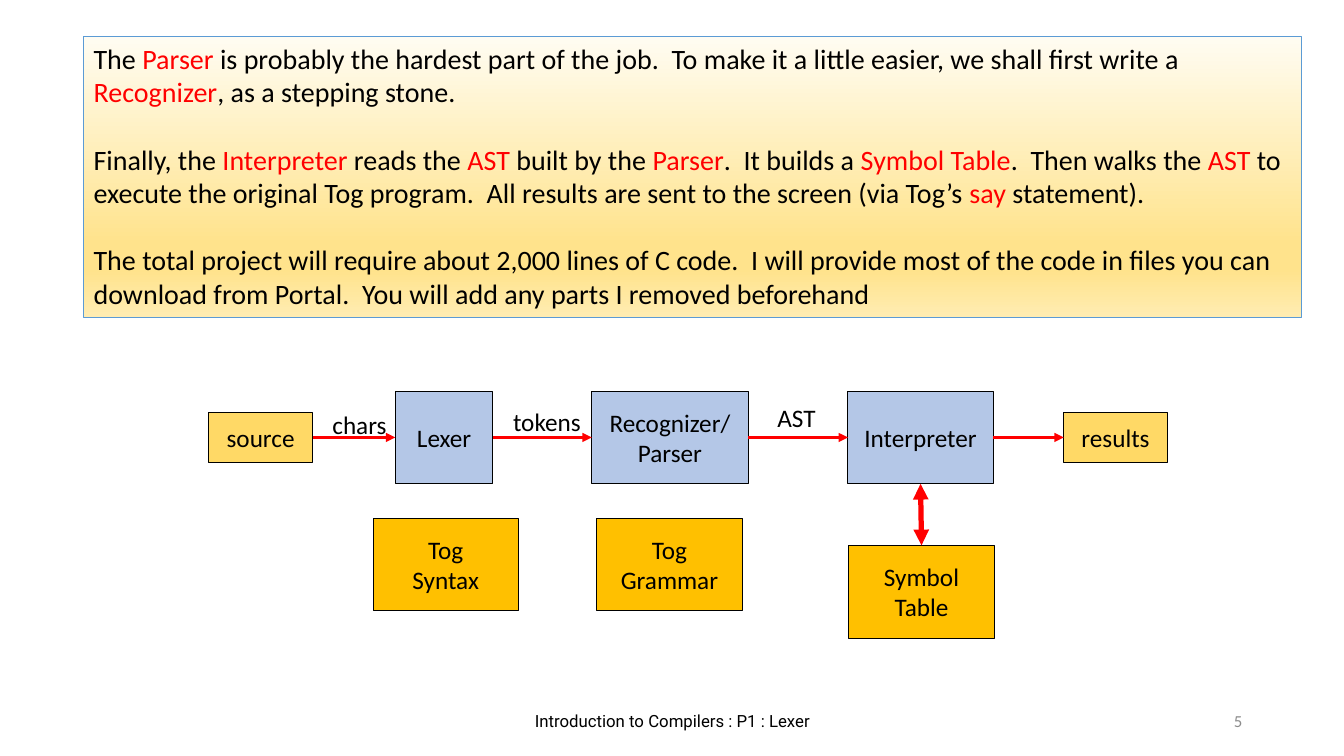
"""Build the slide on the stages of the Tog interpreter."""
from copy import deepcopy

from lxml import etree
from pptx import Presentation
from pptx.dml.color import RGBColor
from pptx.enum.shapes import MSO_CONNECTOR, MSO_SHAPE
from pptx.enum.text import MSO_ANCHOR, PP_ALIGN
from pptx.oxml.ns import qn
from pptx.util import Pt

EMU_PER_PX = 9144
STRAIGHT = MSO_CONNECTOR.STRAIGHT
RECTANGLE = MSO_SHAPE.RECTANGLE
TOP, MIDDLE = MSO_ANCHOR.TOP, MSO_ANCHOR.MIDDLE
LEFT, CENTER, RIGHT = PP_ALIGN.LEFT, PP_ALIGN.CENTER, PP_ALIGN.RIGHT
TOP_SITE, LEFT_SITE, BOTTOM_SITE, RIGHT_SITE = range(4)

BLACK = RGBColor(0x00, 0x00, 0x00)
RED = RGBColor(0xFF, 0x00, 0x00)
GREY = RGBColor(0x8C, 0x8C, 0x8C)
BLUE = RGBColor(0x5B, 0x9B, 0xD5)
PALE_BLUE = RGBColor(0xB4, 0xC7, 0xE7)
YELLOW = RGBColor(0xFF, 0xD9, 0x66)
AMBER = RGBColor(0xFF, 0xC0, 0x00)
PANEL_GRADIENT = (
    (0, RGBColor(0xFF, 0xFC, 0xF2)),
    (0.74, RGBColor(0xFF, 0xE3, 0x8C)),
    (0.83, RGBColor(0xFF, 0xE3, 0x8C)),
    (1, RGBColor(0xFF, 0xEC, 0xB2)),
)

PANEL_PARAGRAPHS = (
    "The *Parser* is probably the hardest part of the job.  To make it a little "
    "easier, we shall first write a *Recognizer*, as a stepping stone.",
    "Finally, the *Interpreter* reads the *AST* built by the *Parser*.  It builds a "
    "*Symbol Table*.  Then walks the *AST* to execute the original Tog program.  "
    "All results are sent to the screen (via Tog’s *say* statement).",
    "The total project will require about 2,000 lines of C code.  I will provide "
    "most of the code in files you can download from Portal.  You will add any "
    "parts I removed beforehand",
)
STAGES = (
    ("source", 0, 21, 103, 50, YELLOW),
    ("Lexer", 185, 0, 97, 92, PALE_BLUE),
    ("Recognizer/Parser", 380, 0, 155, 92, PALE_BLUE),
    ("Interpreter", 634, 0, 144, 92, PALE_BLUE),
    ("results", 848, 21, 103, 50, YELLOW),
)
RESOURCES = (
    ("Symbol Table", 635, 153, 144, 92, AMBER),
    ("Tog\nGrammar", 385, 126, 144, 92, AMBER),
    ("Tog\nSyntax", 163, 126, 144, 92, AMBER),
)
ARROW_LABELS = (
    ("chars", 105, 9, 89, 49),
    ("tokens", 284, 6, 103, 49),
    ("AST", 542, 6, 82, 40),
)


def px(*lengths):
    """Turn lengths in px into a list of EMU."""
    return [length * EMU_PER_PX for length in lengths]


def set_frame(shape, anchor, insets=(10, 5)):
    """Set wrapping, anchor and insets, and return the text frame."""
    frame = shape.text_frame
    frame.word_wrap = True
    frame.vertical_anchor = anchor
    horizontal, vertical = px(*insets)
    frame.margin_left = frame.margin_right = horizontal
    frame.margin_top = frame.margin_bottom = vertical
    return frame


def set_font(paragraph, size, color, alignment, name="Calibri"):
    """Format a whole paragraph."""
    paragraph.alignment = alignment
    paragraph.font.name = name
    paragraph.font.size = Pt(size)
    paragraph.font.color.rgb = color


def add_rectangle(slide, box, line_color):
    """Add a thinly outlined rectangle without shadow."""
    shape = slide.shapes.add_shape(RECTANGLE, *px(*box))
    shape.shadow.inherit = False
    shape.line.color.rgb = line_color
    shape.line.width = Pt(0.75)
    return shape


def add_label(slide, box, text, size=18, color=BLACK, alignment=CENTER,
              name="Calibri", insets=(13, 7)):
    """Add a one-line text box."""
    frame = set_frame(slide.shapes.add_textbox(*px(*box)), MIDDLE, insets)
    frame.text = text
    set_font(frame.paragraphs[0], size, color, alignment, name)


def add_block(slide, box, text, color):
    """Add a filled block of the diagram."""
    block = add_rectangle(slide, box, BLACK)
    block.fill.solid()
    block.fill.fore_color.rgb = color
    frame = set_frame(block, MIDDLE, (13, 7))
    frame.text = text
    for paragraph in frame.paragraphs:
        set_font(paragraph, 18, BLACK, CENTER)
    return block


def add_arrow(slide, start, start_site, end, end_site, width=2.25, ends=("tailEnd",)):
    """Join two blocks with a red arrow."""
    arrow = slide.shapes.add_connector(STRAIGHT, 0, 0, 0, 0)
    arrow.begin_connect(start, start_site)
    arrow.end_connect(end, end_site)
    arrow.line.color.rgb = RED
    arrow.line.width = Pt(width)
    line = arrow.line._get_or_add_ln()
    for end_tag in ends:
        etree.SubElement(line, qn(f"a:{end_tag}"), type="triangle")
    etree.SubElement(arrow._element.spPr, qn("a:effectLst"))


def add_panel(slide, box):
    """Add the gradient panel, with marked terms in red."""
    panel = add_rectangle(slide, box, BLUE)
    panel.fill.gradient()
    panel.fill.gradient_angle = 270
    stop_list = panel._element.spPr.find(".//" + qn("a:gsLst"))
    while len(stop_list) < len(PANEL_GRADIENT):
        stop_list.append(deepcopy(stop_list[0]))
    for stop, (position, color) in zip(panel.fill.gradient_stops, PANEL_GRADIENT):
        stop.position = position
        stop.color.rgb = color
    frame = set_frame(panel, TOP)
    for index, text in enumerate(PANEL_PARAGRAPHS):
        paragraph = frame.add_paragraph() if index else frame.paragraphs[0]
        set_font(paragraph, 20, BLACK, LEFT)
        if index:
            paragraph.space_before = Pt(24)
        for part_index, part in enumerate(text.split("*")):
            run = paragraph.add_run()
            run.text = part
            run.font.color.rgb = RED if part_index % 2 else BLACK


def add_diagram(slide, left, top):
    """Add the pipeline, its resources and its arrows from the given corner."""
    stages, resources = (
        [add_block(slide, (left + x, top + y, width, height), text, color)
         for text, x, y, width, height, color in group]
        for group in (STAGES, RESOURCES)
    )
    for start, end in zip(stages, stages[1:]):
        add_arrow(slide, start, RIGHT_SITE, end, LEFT_SITE)
    interpreter, symbol_table = stages[3], resources[0]
    add_arrow(slide, interpreter, BOTTOM_SITE, symbol_table, TOP_SITE,
              3.75, ("headEnd", "tailEnd"))
    for text, x, y, width, height in ARROW_LABELS:
        add_label(slide, (left + x, top + y, width, height), text)


def add_footer(slide, top, height):
    """Add the course name and the slide number."""
    add_label(slide, (442, top, 450, height), "Introduction to Compilers : P1 : Lexer",
              12, name="Roboto", insets=(10, 5))
    add_label(slide, (942, top, 300, height), "5", 12, GREY, RIGHT, insets=(10, 5))


def main():
    """Build and save the presentation."""
    presentation = Presentation()
    presentation.slide_width, presentation.slide_height = px(1333, 750)
    slide = presentation.slides.add_slide(presentation.slide_layouts[6])
    add_panel(slide, (83, 36, 1208, 279))
    add_diagram(slide, 207, 388)
    add_footer(slide, 695, 40)
    presentation.save("out.pptx")


if __name__ == "__main__":
    main()
